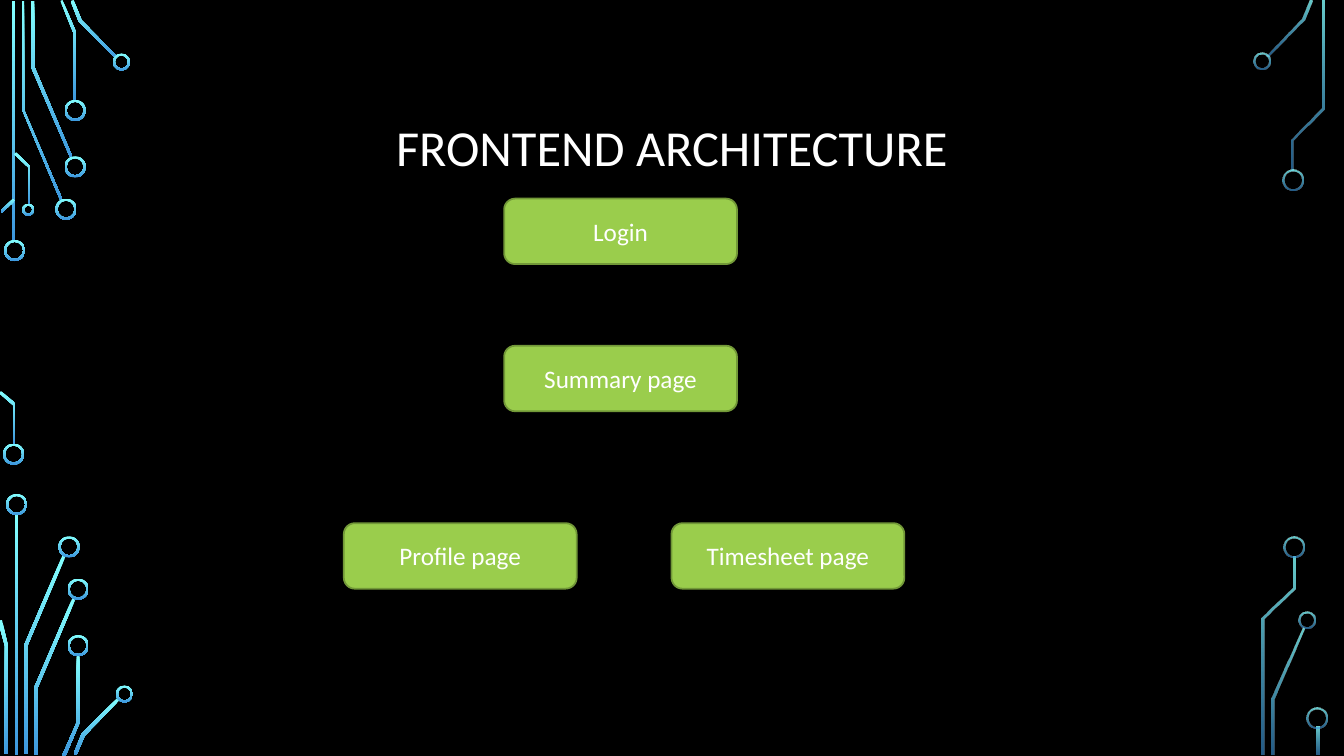
"""Build the Frontend Architecture slide: four page boxes framed by circuit traces."""
from lxml.etree import SubElement
from pptx import Presentation
from pptx.dml.color import RGBColor
from pptx.enum.shapes import MSO_SHAPE as Preset
from pptx.enum.text import MSO_ANCHOR as Anchor, PP_ALIGN as Align
from pptx.oxml.ns import qn
from pptx.util import Inches, Pt

BLACK = RGBColor(0x00, 0x00, 0x00)
WHITE = RGBColor(0xFF, 0xFF, 0xFF)
CYAN = RGBColor(0x82, 0xFF, 0xFF)
BLUE = RGBColor(0x3D, 0x97, 0xDE)
GREEN = RGBColor(0x9A, 0xCD, 0x4C)
DARK_GREEN = RGBColor(0x72, 0x98, 0x38)

RING_WIDTH = 0.02
BAR_WIDTH = 0.03
BOX_WIDTH, BOX_HEIGHT = 2.31, 0.65

LEFT_BARS = [(0.12, 0.01, 2.39), (0.15, 5.1, 2.39)]
LEFT_TRACES = [
    [(0.6, 1.99), (0.22, 1.09), (0.22, 0.01), (0.24, 0.01), (0.24, 1.09), (0.62, 1.98)],
    [(0.7, 1.57), (0.31, 0.67), (0.31, 0.01), (0.34, 0.01), (0.34, 0.66), (0.72, 1.56)],
    [(0.76, 1), (0.73, 1), (0.73, 0.33), (0.6, 0.01), (0.62, 0), (0.76, 0.33)],
    [(1.15, 0.58), (0.78, 0.21), (0.7, 0.01), (0.73, 0), (0.81, 0.2), (1.16, 0.56)],
    [(0.02, 2.11), (0.01, 2.09), (0.13, 1.97), (0.15, 1.99)],
    [(0.15, 4.41), (0.13, 4.41), (0.13, 4.02), (-0.01, 3.9), (0.01, 3.88), (0.15, 4)],
    [(0.3, 2.03), (0.28, 2.03), (0.28, 1.66), (0.14, 1.53), (0.16, 1.51), (0.3, 1.65)],
    [(0.27, 7.48), (0.24, 7.48), (0.24, 6.4), (0.62, 5.51), (0.65, 5.52), (0.27, 6.41)],
    [(0.08, 7.48), (0.05, 7.48), (0.05, 6.41), (-0.02, 6.16), (0.02, 6.15), (0.08, 6.41)],
    [(0.37, 7.49), (0.34, 7.49), (0.34, 6.82), (0.72, 5.93), (0.75, 5.94), (0.37, 6.83)],
    [(0.65, 7.5), (0.62, 7.49), (0.76, 7.17), (0.76, 6.5), (0.79, 6.5), (0.79, 7.17)],
    [(0.76, 7.49), (0.73, 7.48), (0.81, 7.28), (1.17, 6.92), (1.19, 6.94), (0.84, 7.3)],
]
LEFT_RINGS = [
    (0.04, 2.38, 0.21), (0.03, 4.4, 0.21), (0.55, 1.97, 0.21), (0.64, 1.55, 0.21),
    (0.64, 0.99, 0.21), (1.12, 0.53, 0.17), (0.22, 2.02, 0.12), (0.06, 4.9, 0.21),
    (0.58, 5.32, 0.21), (0.67, 5.74, 0.21), (0.67, 6.3, 0.21), (1.15, 6.8, 0.17),
]
RIGHT_BARS = [(13.06, 7.21, 0.28)]
RIGHT_TRACES = [
    [(12.58, 0.56), (12.56, 0.55), (12.91, 0.19), (12.99, 0), (13.02, 0.01), (12.94, 0.2)],
    [(12.64, 7.49), (12.61, 7.49), (12.61, 6.93), (12.92, 6.23), (12.94, 6.24), (12.64, 6.94)],
    [(12.83, 1.69), (12.81, 1.69), (12.81, 1.38), (13.11, 1.07), (13.11, 0.01),
     (13.14, 0.01), (13.14, 1.08), (12.83, 1.39)],
    [(12.54, 7.49), (12.51, 7.49), (12.51, 6.13), (12.82, 5.83), (12.82, 5.52),
     (12.85, 5.52), (12.85, 5.84), (12.54, 6.14)],
]
RIGHT_RINGS = [
    (12.43, 0.52, 0.17), (12.72, 1.68, 0.21), (12.88, 6.07, 0.17),
    (12.73, 5.32, 0.21), (12.96, 7.02, 0.21),
]
SIDES = [
    (LEFT_BARS, LEFT_TRACES, LEFT_RINGS, (100, 100)),
    (RIGHT_BARS, RIGHT_TRACES, RIGHT_RINGS, (80, 60)),
]
PAGE_BOXES = [
    ("Login", 5, 1.97),
    ("Summary page", 5, 3.43),
    ("Timesheet page", 6.66, 5.19),
    ("Profile page", 3.41, 5.19),
]


def paint_gradient(shape, opacities):
    shape.shadow.inherit = False
    shape.line.fill.background()
    shape.fill.gradient()
    shape.fill.gradient_angle = 270
    for stop, color, position in zip(shape.fill.gradient_stops, (CYAN, BLUE), (0, 1)):
        stop.color.rgb = color
        stop.position = position
    for color, opacity in zip(shape._element.spPr.iter(qn("a:srgbClr")), opacities):
        if opacity < 100:
            SubElement(color, qn("a:alpha")).set("val", str(opacity * 1000))


def write_text(shape, text, size, line_spacing=1.0):
    frame = shape.text_frame
    frame.word_wrap = True
    frame.vertical_anchor = Anchor.MIDDLE
    para = frame.paragraphs[0]
    para.alignment = Align.CENTER
    para.line_spacing = line_spacing
    span = para.add_run()
    span.text = text
    span.font.name = "Calibri"
    span.font.size = Pt(size)
    span.font.color.rgb = WHITE


deck = Presentation()
deck.slide_width, deck.slide_height = Inches(13.33), Inches(7.5)
page = deck.slides.add_slide(deck.slide_layouts[6])
page.background.fill.solid()
page.background.fill.fore_color.rgb = BLACK

for bars, traces, rings, opacities in SIDES:
    for left, top, height in bars:
        bar = page.shapes.add_shape(
            Preset.RECTANGLE, Inches(left), Inches(top), Inches(BAR_WIDTH), Inches(height))
        paint_gradient(bar, opacities)
    for points in traces:
        corners = [(Inches(x), Inches(y)) for x, y in points]
        builder = page.shapes.build_freeform(*corners[0])
        builder.add_line_segments(corners[1:], close=True)
        paint_gradient(builder.convert_to_shape(), opacities)
    for left, top, size in rings:
        ring = page.shapes.add_shape(
            Preset.DONUT, Inches(left), Inches(top), Inches(size), Inches(size))
        ring.adjustments[0] = RING_WIDTH / size
        paint_gradient(ring, opacities)

title = page.shapes.add_textbox(Inches(1.25), Inches(0.68), Inches(10.83), Inches(1.62))
write_text(title, "FRONTEND ARCHITECTURE", size=36, line_spacing=0.9)

for label, left, top in PAGE_BOXES:
    box = page.shapes.add_shape(
        Preset.ROUNDED_RECTANGLE, Inches(left), Inches(top), Inches(BOX_WIDTH), Inches(BOX_HEIGHT))
    box.shadow.inherit = False
    box.fill.solid()
    box.fill.fore_color.rgb = GREEN
    box.line.color.rgb = DARK_GREEN
    box.line.width = Pt(1.25)
    write_text(box, label, size=18)

deck.save("out.pptx")
